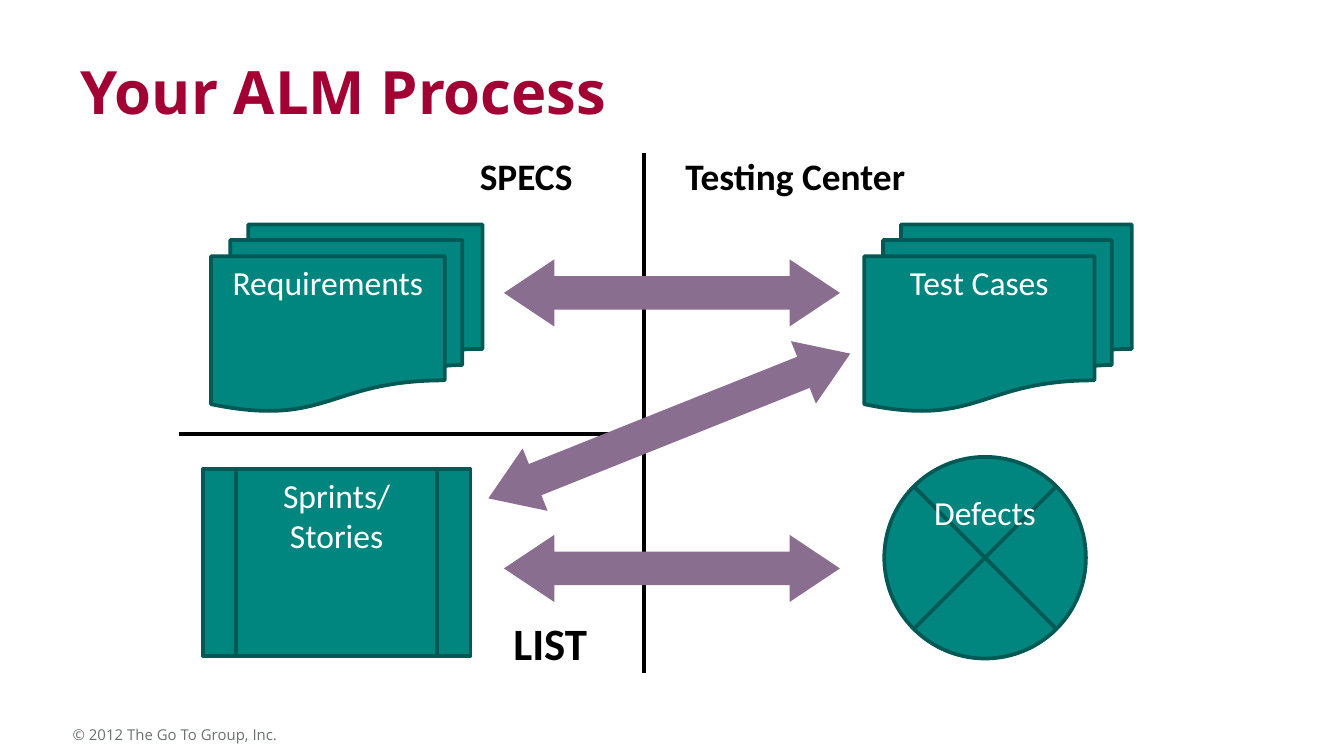
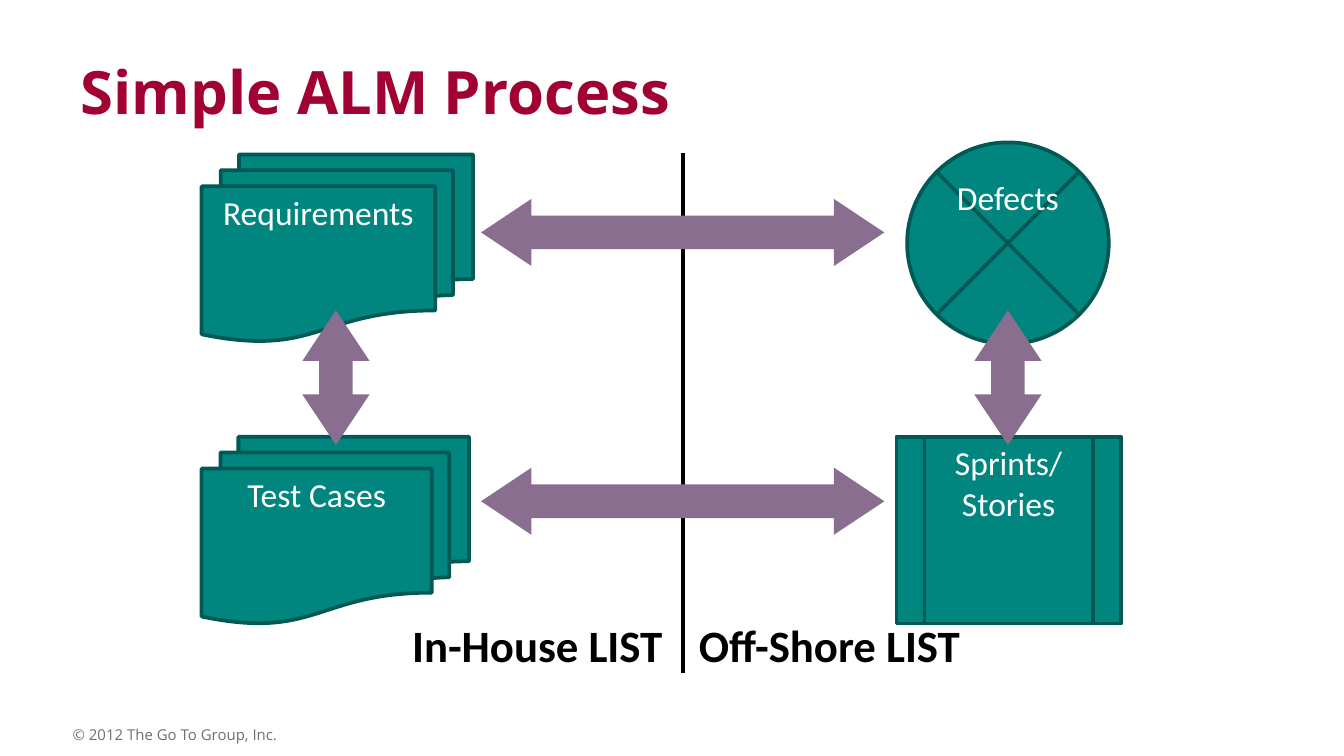
from dataclasses import dataclass

from lxml import etree
from pptx import Presentation
from pptx.dml.color import RGBColor
from pptx.enum.shapes import MSO_CONNECTOR, MSO_SHAPE
from pptx.enum.text import MSO_ANCHOR, MSO_AUTO_SIZE, PP_ALIGN
from pptx.oxml.ns import qn
from pptx.util import Inches, Pt

STRAIGHT = MSO_CONNECTOR.STRAIGHT
STACK = MSO_SHAPE.FLOWCHART_MULTIDOCUMENT
PROCESS = MSO_SHAPE.FLOWCHART_PREDEFINED_PROCESS
CIRCLE = MSO_SHAPE.FLOWCHART_SUMMING_JUNCTION
ARROW = MSO_SHAPE.LEFT_RIGHT_ARROW
TOP, BOTTOM = MSO_ANCHOR.TOP, MSO_ANCHOR.BOTTOM
LEFT, CENTER, RIGHT = PP_ALIGN.LEFT, PP_ALIGN.CENTER, PP_ALIGN.RIGHT
FIT, FIXED = MSO_AUTO_SIZE.SHAPE_TO_FIT_TEXT, MSO_AUTO_SIZE.NONE


@dataclass(frozen=True)
class Theme:
    head: str = "Open Sans"
    body: str = "Calibri"
    red: str = "A10133"
    gray: str = "6C6F70"
    black: str = "000000"
    white: str = "FFFFFF"
    teal: str = "00867F"
    edge: str = "005955"
    plum: str = "8A6E8F"
    title: int = 32
    large: int = 24
    label: int = 20
    node: int = 18
    foot: int = 8
    stroke: int = 2


THEME = Theme()
PAD = (0.07, 0.04, 0.07, 0.04)
NODE_H = 1.39
ROUND = 1.5
BAR = 0.5


def color(code):
    return RGBColor.from_string(code)


def place(left, top, width, height):
    return [Inches(n) for n in (left, top, width, height)]


def frame(shape, pad, anchor, wrap=True, fit=FIXED):
    text = shape.text_frame
    text.margin_left, text.margin_top, text.margin_right, text.margin_bottom = place(*pad)
    text.vertical_anchor = anchor
    text.word_wrap = wrap
    text.auto_size = fit
    return text


def write(text, words, size, tint, face=THEME.body, bold=False, align=LEFT):
    para = text.paragraphs[0]
    para.alignment = align
    for n, part in enumerate(words.split("\n")):
        if n:
            para.add_line_break()
        run = para.add_run()
        run.text = part
        font = run.font
        font.name, font.size, font.bold = face, Pt(size), bold
        font.color.rgb = color(tint)
    return para


def add_page(deck, title):
    slide = deck.slides.add_slide(deck.slide_layouts[5])
    head = slide.shapes.title
    head.left, head.top, head.width, head.height = place(0.5, 0.19, 9, 0.81)
    text = frame(head, (0.1, 0.05, 0.04, 0.05), BOTTOM)
    para = write(text, title, THEME.title, THEME.red, THEME.head, True)
    para.line_spacing = 0.9
    foot = slide.shapes.add_textbox(*place(0.54, 5.4, 1.65, 0.13))
    text = frame(foot, (0, 0, 0, 0), TOP, False, FIT)
    write(text, "© 2012 The Go To Group, Inc.", THEME.foot, THEME.gray, THEME.head)
    return slide


def add_line(slide, start, end):
    line = slide.shapes.add_connector(STRAIGHT, *place(*start, *end))
    line.line.color.rgb = color(THEME.black)
    line.line.width = Pt(THEME.stroke)
    etree.SubElement(line._element.spPr, qn("a:effectLst"))


def add_label(slide, words, box, size, align=LEFT, wrap=False):
    label = slide.shapes.add_textbox(*place(*box))
    text = frame(label, PAD, TOP, wrap, FIT)
    write(text, words, size, THEME.black, bold=True, align=align)


def add_solid(slide, kind, box, tint):
    shape = slide.shapes.add_shape(kind, *place(*box))
    shape.shadow.inherit = False
    shape.fill.solid()
    shape.fill.fore_color.rgb = color(tint)
    return shape


def add_node(slide, kind, words, left, top, width, height=NODE_H):
    node = add_solid(slide, kind, (left, top, width, height), THEME.teal)
    node.line.color.rgb = color(THEME.edge)
    node.line.width = Pt(THEME.stroke)
    write(frame(node, PAD, TOP), words, THEME.node, THEME.white, align=CENTER)


def add_arrow(slide, left, top, width, turn=0):
    arrow = add_solid(slide, ARROW, (left, top, width, BAR), THEME.plum)
    arrow.line.fill.background()
    arrow.adjustments[0] = 0.5
    arrow.adjustments[1] = 0.75
    arrow.rotation = turn


def draw_yours(deck):
    slide = add_page(deck, "Your ALM Process")
    mid = 4.79
    add_line(slide, (mid, 1.14), (mid, 5.01))
    add_line(slide, (1.33, 3.23), (mid, 3.23))
    add_label(slide, "SPECS", (3.5, 1.1, 0.99, 0.41), THEME.label)
    add_label(slide, "Testing Center", (5.03, 1.1, 2, 0.41), THEME.label, wrap=True)
    add_label(slide, "LIST", (3.75, 4.54, 0.74, 0.47), THEME.large)
    add_node(slide, STACK, "Requirements", 1.57, 1.67, 2.02)
    add_node(slide, STACK, "Test Cases", 6.43, 1.67, 1.99)
    add_node(slide, PROCESS, "Sprints/\nStories", 1.51, 3.49, 1.99)
    add_node(slide, CIRCLE, "Defects", 6.58, 3.4, ROUND, ROUND)
    for top in (1.93, 3.98):
        add_arrow(slide, 3.75, top, 2.5)
    add_arrow(slide, 3.53, 2.92, 2.9, 338.2)


def draw_simple(deck):
    slide = add_page(deck, "Simple ALM Process")
    mid = 5.08
    add_line(slide, (mid, 1.14), (mid, 5.01))
    add_label(slide, "In-House LIST", (2.94, 4.56, 2.06, 0.47), THEME.large, RIGHT)
    add_label(slide, "Off-Shore LIST", (5.13, 4.56, 2.16, 0.47), THEME.large)
    add_node(slide, STACK, "Requirements", 1.5, 1.15, 2.02)
    add_node(slide, STACK, "Test Cases", 1.5, 3.25, 1.99)
    add_node(slide, PROCESS, "Sprints/\nStories", 6.67, 3.25, 1.67)
    add_node(slide, CIRCLE, "Defects", 6.75, 1.06, ROUND, ROUND)
    for top in (1.48, 3.48):
        add_arrow(slide, 3.58, top, 3)
    for left in (2, 7):
        add_arrow(slide, left, 2.56, 1, 270)


def main():
    deck = Presentation()
    deck.slide_width = Inches(10)
    deck.slide_height = deck.slide_width * 9 // 16
    draw_yours(deck)
    draw_simple(deck)
    deck.save("out.pptx")


if __name__ == "__main__":
    main()
